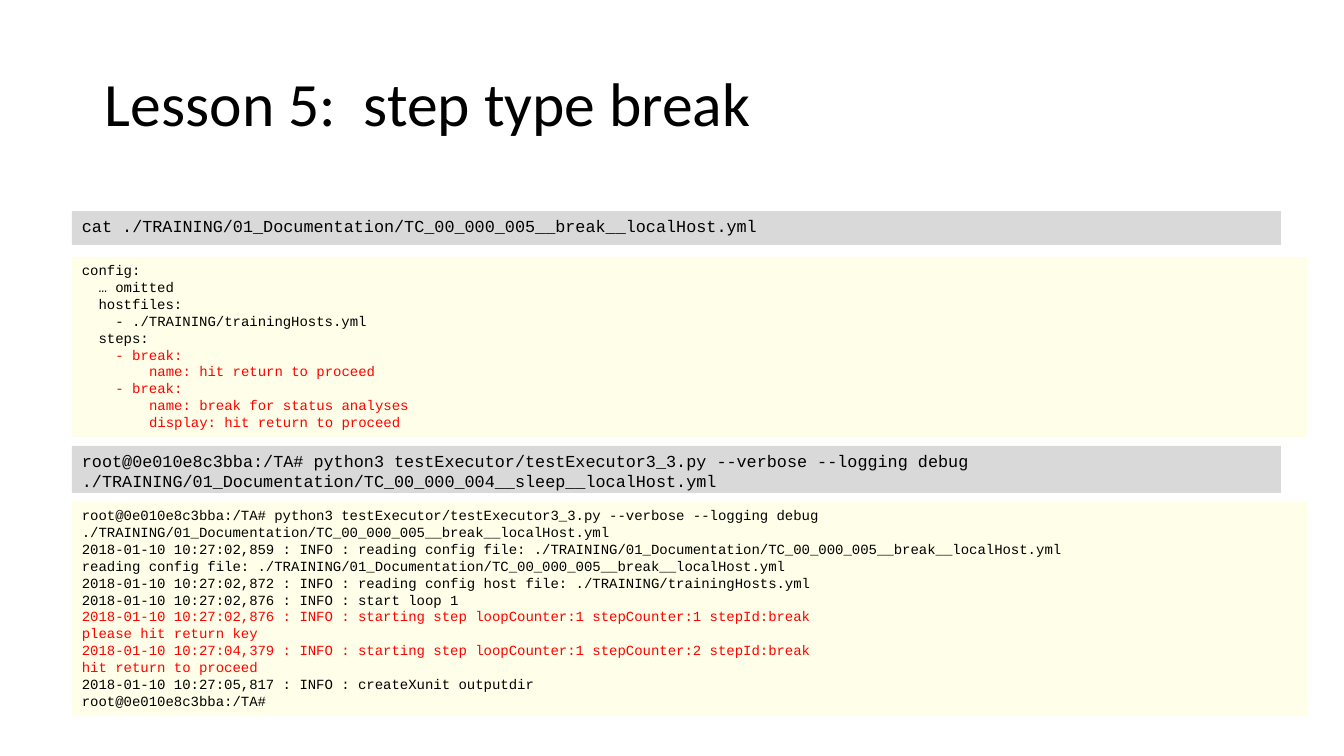
"""Build the training slide about the break step type."""
from dataclasses import dataclass

from pptx import Presentation
from pptx.dml.color import RGBColor
from pptx.enum.shapes import MSO_SHAPE
from pptx.enum.text import MSO_ANCHOR, PP_ALIGN
from pptx.slide import Slide
from pptx.util import Emu, Pt

PAGE_WIDTH, PAGE_HEIGHT = 1344, 756
SCALE = 12192000 / PAGE_WIDTH
LEFT = 72
CHARACTER_WIDTH = 0.6

BLACK = RGBColor(0x00, 0x00, 0x00)
RED = RGBColor(0xFF, 0x00, 0x00)
GREY = RGBColor(0xD9, 0xD9, 0xD9)
CREAM = RGBColor(0xFF, 0xFF, 0xE9)


@dataclass(frozen=True)
class Style:
    width: int
    fill: RGBColor
    size: int


@dataclass(frozen=True)
class Line:
    text: str
    color: RGBColor = BLACK
    indent: int = 0


@dataclass(frozen=True)
class Panel:
    style: Style
    top: int
    height: int
    lines: tuple[Line, ...]


COMMAND = Style(1209, GREY, 12)
LISTING = Style(1235, CREAM, 10)

DOCUMENTS = "./TRAINING/01_Documentation"
HOSTS = "./TRAINING/trainingHosts.yml"
BREAK_FILE = f"{DOCUMENTS}/TC_00_000_005__break__localHost.yml"
SLEEP_FILE = f"{DOCUMENTS}/TC_00_000_004__sleep__localHost.yml"
PROMPT = "root@0e010e8c3bba:/TA#"
EXECUTE = f"{PROMPT} python3 testExecutor/testExecutor3_3.py --verbose --logging debug"
DAY = "2018-01-10"
STEP = "INFO : starting step loopCounter:1"

PANELS = (
    Panel(COMMAND, 211, 34, (Line(f"cat {BREAK_FILE}"),)),
    Panel(LISTING, 257, 180, (
        Line("config:"),
        Line("… omitted", indent=2),
        Line("hostfiles:", indent=2),
        Line(f"- {HOSTS}", indent=4),
        Line("steps:", indent=2),
        Line("- break:", RED, 4),
        Line("name: hit return to proceed", RED, 8),
        Line("- break:", RED, 4),
        Line("name: break for status analyses", RED, 8),
        Line("display: hit return to proceed", RED, 8),
    )),
    Panel(COMMAND, 446, 47, (Line(f"{EXECUTE} {SLEEP_FILE}"),)),
    Panel(LISTING, 502, 214, (
        Line(f"{EXECUTE} {BREAK_FILE}"),
        Line(f"{DAY} 10:27:02,859 : INFO : reading config file: {BREAK_FILE}"),
        Line(f"reading config file: {BREAK_FILE}"),
        Line(f"{DAY} 10:27:02,872 : INFO : reading config host file: {HOSTS}"),
        Line(f"{DAY} 10:27:02,876 : INFO : start loop 1"),
        Line(f"{DAY} 10:27:02,876 : {STEP} stepCounter:1 stepId:break", RED),
        Line("please hit return key", RED),
        Line(f"{DAY} 10:27:04,379 : {STEP} stepCounter:2 stepId:break", RED),
        Line("hit return to proceed", RED),
        Line(f"{DAY} 10:27:05,817 : INFO : createXunit outputdir"),
        Line(PROMPT),
    )),
)


def pixels(length: int) -> Emu:
    """Turn whole pixels into EMU."""
    return Emu(round(length * SCALE))


def draw_title(page: Slide, text: str) -> None:
    """Draw the slide heading."""
    box = page.shapes.add_textbox(*map(pixels, (95, 33, 1159, 146)))
    frame = box.text_frame
    frame.word_wrap = True
    frame.vertical_anchor = MSO_ANCHOR.MIDDLE
    para = frame.paragraphs[0]
    para.text = text
    para.line_spacing = 0.9
    para.font.name = "Calibri"
    para.font.size = Pt(44)
    para.font.color.rgb = BLACK


def draw_panel(page: Slide, panel: Panel) -> None:
    """Draw a filled panel with its lines of code."""
    style = panel.style
    bounds = map(pixels, (LEFT, panel.top, style.width, panel.height))
    box = page.shapes.add_shape(MSO_SHAPE.RECTANGLE, *bounds)
    box.shadow.inherit = False
    box.fill.solid()
    box.fill.fore_color.rgb = style.fill
    box.line.fill.background()
    frame = box.text_frame
    frame.word_wrap = True
    frame.vertical_anchor = MSO_ANCHOR.TOP
    for index, line in enumerate(panel.lines):
        para = frame.add_paragraph() if index else frame.paragraphs[0]
        para.text = line.text
        para.alignment = PP_ALIGN.LEFT
        para.font.name = "Courier New"
        para.font.size = Pt(style.size)
        para.font.color.rgb = line.color
        if line.indent:
            margin = Pt(line.indent * style.size * CHARACTER_WIDTH)
            para._p.get_or_add_pPr().set("marL", str(margin))


def main() -> None:
    """Assemble and save the deck."""
    deck = Presentation()
    deck.slide_width = pixels(PAGE_WIDTH)
    deck.slide_height = pixels(PAGE_HEIGHT)
    page = deck.slides.add_slide(deck.slide_layouts[6])
    draw_title(page, "Lesson 5:  step type break")
    for panel in PANELS:
        draw_panel(page, panel)
    deck.save("out.pptx")


main()
